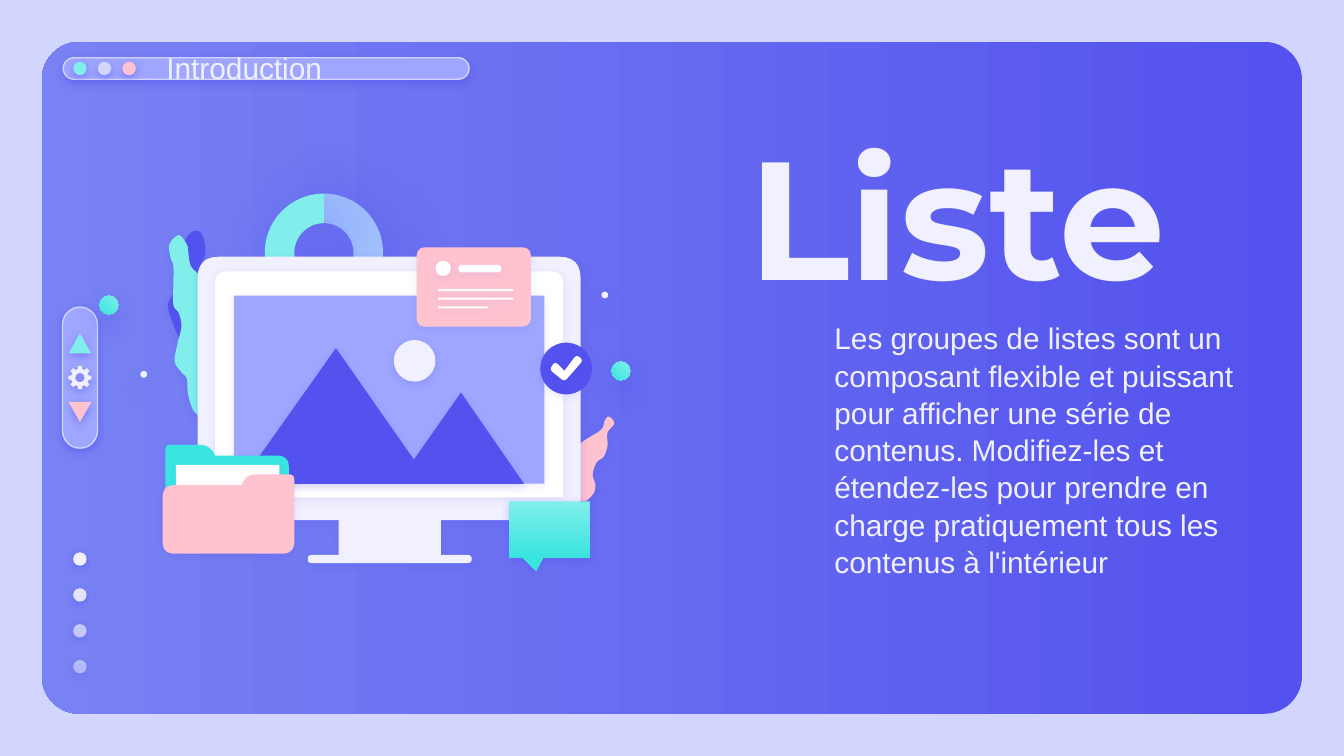
from math import cos, hypot, radians, sin

from lxml import etree
from pptx import Presentation
from pptx.dml.color import RGBColor
from pptx.enum.shapes import MSO_SHAPE
from pptx.enum.text import MSO_ANCHOR, PP_ALIGN
from pptx.oxml.ns import qn
from pptx.util import Inches, Pt

RECTANGLE = MSO_SHAPE.RECTANGLE
ROUNDED = MSO_SHAPE.ROUNDED_RECTANGLE
TOP_ROUNDED = MSO_SHAPE.ROUND_2_SAME_RECTANGLE
ELLIPSE = MSO_SHAPE.OVAL
TRIANGLE = MSO_SHAPE.ISOSCELES_TRIANGLE
BLOCK_ARC = MSO_SHAPE.BLOCK_ARC
CALLOUT = MSO_SHAPE.ROUNDED_RECTANGULAR_CALLOUT
LEFT, CENTER = PP_ALIGN.LEFT, PP_ALIGN.CENTER

INDIGO = RGBColor(0x53, 0x52, 0xEE)
BLUE = RGBColor(0x78, 0x82, 0xF3)
LAVENDER = RGBColor(0x9E, 0xA6, 0xFF)
PALE = RGBColor(0xD2, 0xD6, 0xFF)
SKY = RGBColor(0xA1, 0xC3, 0xFF)
AQUA = RGBColor(0x81, 0xEE, 0xEB)
TEAL = RGBColor(0x3A, 0xE4, 0xDF)
PINK = RGBColor(0xFF, 0xC3, 0xD0)
OFF_WHITE = RGBColor(0xF1, 0xF0, 0xFF)
WHITE = RGBColor(0xFF, 0xFF, 0xFF)

# Shadows: opacity %, blur pt, distance pt, direction in degrees
SOFT = (50, 4.5, 1.5, 90)
MEDIUM = (22, 4.5, 1.5, 90)
FAINT = (10, 4.5, 1.5, 90)
LEAF = (18, 4.5, 1.5, 90)
FLOATING = (38, 12.4, 6.8, 90)
RING = (67, 38.2, 9, 49)
SPEECH = (31, 4.5, 1.5, 90)


def rounded(corners, steps=6):
    """Turn (x, y, radius) corners into a polygon with softened corners."""
    points = []
    for i, (x, y, radius) in enumerate(corners):
        ends = []
        for near_x, near_y, _ in (corners[i - 1], corners[(i + 1) % len(corners)]):
            share = radius / hypot(near_x - x, near_y - y)
            ends.append((x + (near_x - x) * share, y + (near_y - y) * share))
        (ax, ay), (bx, by) = ends
        for t in [k / steps for k in range(steps + 1)] if radius else [0]:
            a, b, c = (1 - t) ** 2, 2 * t * (1 - t), t ** 2
            points.append((a * ax + b * x + c * bx, a * ay + b * y + c * by))
    return points


def smooth(anchors, steps=6):
    """Sample a closed Catmull-Rom curve through the anchors."""
    points = []
    for i in range(len(anchors)):
        around = [anchors[(i + k) % len(anchors)] for k in (-1, 0, 1, 2)]
        for t in [k / steps for k in range(steps)]:
            points.append(tuple(
                (2 * b + (c - a) * t + (2 * a - 5 * b + 4 * c - d) * t ** 2
                 + (3 * b - a - 3 * c + d) * t ** 3) / 2
                for a, b, c, d in zip(*around)))
    return points


def polar(center_x, center_y, turns):
    """Points from (radius, degrees) pairs around a centre."""
    return [(center_x + r * cos(radians(a)), center_y + r * sin(radians(a)))
            for r, a in turns]


class Board:
    """Draws on one slide, on a grid of 100 columns by 56.25 rows."""
    CELL = Inches(0.1)

    def __init__(self, presentation):
        self.slide = presentation.slides.add_slide(presentation.slide_layouts[6])
        self.shapes = self.slide.shapes
        self.slide.background.fill.solid()
        self.slide.background.fill.fore_color.rgb = PALE

    def cells(self, *values):
        return [round(value * self.CELL) for value in values]

    def start_group(self):
        self.shapes = self.slide.shapes.add_group_shape().shapes

    def end_group(self):
        self.shapes = self.slide.shapes

    def paint(self, shape, fill, shadow, outline=None, opacity=100):
        """Fill is a colour, or (first colour, last colour, clockwise angle)."""
        if isinstance(fill, RGBColor):
            shape.fill.solid()
            shape.fill.fore_color.rgb = fill
            if opacity < 100:
                color = shape.fill._xPr.find(".//" + qn("a:srgbClr"))
                etree.SubElement(color, qn("a:alpha"), val=str(opacity * 1000))
        else:
            shape.fill.gradient()
            for stop, color in zip(shape.fill.gradient_stops, fill):
                stop.color.rgb = color
            shape.fill.gradient_angle = 360 - fill[2]
        if outline:
            shape.line.color.rgb = outline
            shape.line.width = Pt(0.75)
        else:
            shape.line.fill.background()
        shape.shadow.inherit = False
        if shadow:
            alpha, blur, distance, direction = shadow
            effects = shape._element.spPr.find(qn("a:effectLst"))
            outer = etree.SubElement(
                effects, qn("a:outerShdw"), blurRad=str(Pt(blur)), dist=str(Pt(distance)),
                dir=str(direction * 60000), algn="bl", rotWithShape="0")
            color = etree.SubElement(outer, qn("a:srgbClr"), val=str(INDIGO))
            etree.SubElement(color, qn("a:alpha"), val=str(alpha * 1000))

    def preset(self, kind, place, fill, shadow=SOFT, adjust=(), rotation=0, **style):
        shape = self.shapes.add_shape(kind, *self.cells(*place))
        for i, value in enumerate(adjust):
            shape.adjustments[i] = value
        shape.rotation = rotation
        self.paint(shape, fill, shadow, **style)

    def outline(self, contours, fill, shadow):
        """Closed shape; contours after the first are holes."""
        first, *holes = [[self.cells(*point) for point in c] for c in contours]
        builder = self.shapes.build_freeform(*first[0])
        builder.add_line_segments(first[1:], close=True)
        for hole in holes:
            builder.move_to(*hole[0])
            builder.add_line_segments(hole[1:], close=True)
        self.paint(builder.convert_to_shape(), fill, shadow)

    def text(self, place, words, size, font="Arial", bold=False, align=LEFT, spacing=1.0):
        frame = self.shapes.add_textbox(*self.cells(*place)).text_frame
        frame.word_wrap = True
        frame.vertical_anchor = MSO_ANCHOR.MIDDLE
        frame.margin_left = frame.margin_right = Inches(0.1)
        frame.margin_top = frame.margin_bottom = Inches(0.1)
        paragraph = frame.paragraphs[0]
        paragraph.text = words
        paragraph.alignment = align
        paragraph.line_spacing = spacing
        paragraph.font.name, paragraph.font.size = font, Pt(size)
        paragraph.font.bold = bold
        paragraph.font.color.rgb = OFF_WHITE


def draw_window(board):
    board.preset(ROUNDED, (3.12, 3.12, 93.76, 50), (INDIGO, BLUE, 180), None, [0.056])
    board.preset(ROUNDED, (4.7, 4.3, 30.2, 1.6), LAVENDER, adjust=[0.5], outline=PALE)
    board.start_group()
    for i, color in enumerate((AQUA, PALE, PINK)):
        board.preset(ELLIPSE, (5.45 + 1.83 * i, 4.6, 1, 1), color)
    board.start_group()
    for i, opacity in enumerate((100, 90, 67, 54)):
        board.preset(ELLIPSE, (5.45, 41.1 + 2.67 * i, 1, 1), OFF_WHITE, opacity=opacity)
    board.end_group()


def draw_side_control(board):
    board.preset(ROUNDED, (0.7, 26.8, 10.5, 2.6), LAVENDER, adjust=[0.5], rotation=90,
                 outline=PALE)
    board.preset(TRIANGLE, (5.1, 24.8, 1.7, 1.5), AQUA)
    board.preset(TRIANGLE, (5.1, 29.9, 1.7, 1.5), PINK, rotation=180)
    tooth = ((0.87, -10), (0.87, 10), (0.66, 14), (0.66, 31))
    teeth = [(r, a + 45 * i) for i in range(8) for r, a in tooth]
    hole = [(0.34, -15 * i) for i in range(24)]
    board.outline([polar(5.95, 28.1, teeth), polar(5.95, 28.1, hole)], OFF_WHITE, SOFT)


def draw_illustration(board):
    board.start_group()
    for color, rotation in ((SKY, 90), (AQUA, 270)):
        board.preset(BLOCK_ARC, (19.7, 14.4, 8.8, 8.8), color, RING, (108, 0, 0.25), rotation)
    pink_leaf = [
        (45.3, 31), (45.7, 31.5), (45.2, 32.2), (45.2, 33.2), (44.9, 34), (44.4, 34.4),
        (44.1, 35.3), (44.3, 36.1), (44.1, 36.8), (43.3, 37.3), (41.8, 36.3), (42.3, 34.4),
        (42.8, 34), (43.2, 33), (44.7, 32), (45, 31.3)]
    indigo_leaf = [
        (14.4, 17.2), (15, 17.4), (15.3, 18.7), (15, 19.9), (15.6, 21.2), (16.1, 21.7),
        (16.3, 23.1), (16, 23.9), (16.5, 25.3), (17.1, 26.5), (16.8, 27.9), (16.4, 29.2),
        (16, 30.3), (15.3, 30.3), (14.2, 29.4), (14.1, 28), (14.2, 27), (13.3, 25.1),
        (12.5, 22.8), (13.2, 21.5), (13.9, 20), (13.8, 19), (13.8, 17.9)]
    aqua_leaf = [
        (13.3, 17.5), (13.9, 18.2), (14, 18.7), (14.2, 19.8), (15, 20.8), (15.3, 22.7),
        (15.9, 24.5), (16.7, 26.3), (16.4, 27.1), (16.1, 28.5), (16.4, 29.2), (16.5, 30.2),
        (16.1, 30.9), (15.5, 31.1), (14.5, 30.7), (14, 29.4), (13.9, 28.2), (13.5, 27.7),
        (13, 26.9), (13.2, 25.6), (13.5, 24.3), (13.3, 23.3), (12.9, 22.7), (12.9, 21.2),
        (12.9, 19.8), (12.7, 19.2), (12.6, 18.2)]
    for leaf, color in ((pink_leaf, PINK), (indigo_leaf, INDIGO), (aqua_leaf, AQUA)):
        board.outline([smooth(leaf)], color, LEAF)
    bubble = (AQUA, TEAL, 135)
    board.preset(ELLIPSE, (7.4, 22, 1.4, 1.4), bubble, FLOATING)
    board.preset(ELLIPSE, (10.45, 27.6, 0.5, 0.5), OFF_WHITE, FLOATING)

    monitor = [
        (14.7, 19.1, 1.6), (43.2, 19.1, 1.6), (43.2, 38.7, 1.6), (32.8, 38.7, 0),
        (32.8, 41.3, 0), (35.1, 41.3, 0.3), (35.1, 41.9, 0.3), (22.9, 41.9, 0.3),
        (22.9, 41.3, 0.3), (25.2, 41.3, 0), (25.2, 38.7, 0), (14.7, 38.7, 1.6)]
    board.outline([rounded(monitor)], OFF_WHITE, MEDIUM)
    board.preset(TOP_ROUNDED, (16, 20.2, 25.9, 16.8), WHITE, FAINT, [0.05])
    board.preset(RECTANGLE, (17.4, 22, 23.1, 14), LAVENDER, FAINT)

    board.preset(ROUNDED, (31, 18.4, 8.5, 5.9), PINK, FAINT, [0.1])
    board.preset(ELLIPSE, (32.4, 19.4, 1.15, 1.15), WHITE, FAINT)
    board.preset(ROUNDED, (34.1, 19.7, 3.2, 0.57), WHITE, FAINT, [0.5])
    for i, width in enumerate((5.6, 5.6, 3.7)):
        board.preset(RECTANGLE, (32.6, 21.5 + 0.65 * i, width, 0.15), WHITE, FAINT)

    board.preset(ELLIPSE, (40.2, 25.5, 3.85, 3.85), INDIGO, FAINT)
    check = [(42.9, 26.4, 0.3), (43.4, 26.8, 0.3), (42, 28.4, 0.3), (40.9, 27.5, 0.3),
             (41.3, 26.9, 0.3), (42, 27.6, 0)]
    board.outline([rounded(check)], WHITE, FAINT)
    mountains = [(25, 25.9), (18.7, 34.8), (18.7, 36), (39, 36), (34.3, 29.2), (30.8, 34.2)]
    board.outline([mountains], INDIGO, LEAF)
    board.preset(ELLIPSE, (29.3, 25.3, 3.1, 3.1), OFF_WHITE, LEAF)

    folder_back = [(12.3, 33.1, 0.4), (15.7, 33.1, 0.9), (16, 33.9, 0), (21.5, 33.9, 0.9),
                   (21.5, 40.5, 0.9), (12.3, 40.5, 0.9)]
    folder_front = [(18.2, 35.3, 0.9), (21.9, 35.3, 0.4), (21.9, 41.2, 0.9),
                    (12.1, 41.2, 0.9), (12.1, 36.1, 0.9), (18, 36.1, 0)]
    board.outline([rounded(folder_back)], TEAL, FAINT)
    board.preset(RECTANGLE, (13.1, 34.6, 7.7, 6.4), WHITE, FAINT)
    board.outline([rounded(folder_front)], PINK, FAINT)

    board.preset(ELLIPSE, (45.5, 26.9, 1.4, 1.4), bubble, FLOATING)
    board.preset(ELLIPSE, (44.75, 21.7, 0.5, 0.5), OFF_WHITE, FLOATING)
    board.preset(CALLOUT, (37.9, 37.3, 6, 4.2), (AQUA, TEAL, 90), SPEECH, (-0.17, 0.73, 0))
    board.end_group()


def main():
    presentation = Presentation()
    presentation.slide_width, presentation.slide_height = Inches(10), Inches(5.625)
    board = Board(presentation)
    draw_window(board)
    board.text((53, 9.7, 36.4, 12.4), "Liste", 90, "Montserrat", True, CENTER)
    board.text((61.1, 22.7, 33.8, 21.4),
               "Les groupes de listes sont un composant flexible et puissant pour afficher une "
               "série de contenus. Modifiez-les et étendez-les pour prendre en charge "
               "pratiquement tous les contenus à l'intérieur", 16, spacing=1.04)
    draw_side_control(board)
    draw_illustration(board)
    board.text((11.4, 3.6, 17.3, 2.8), "Introduction", 16)
    presentation.save("out.pptx")


if __name__ == "__main__":
    main()
